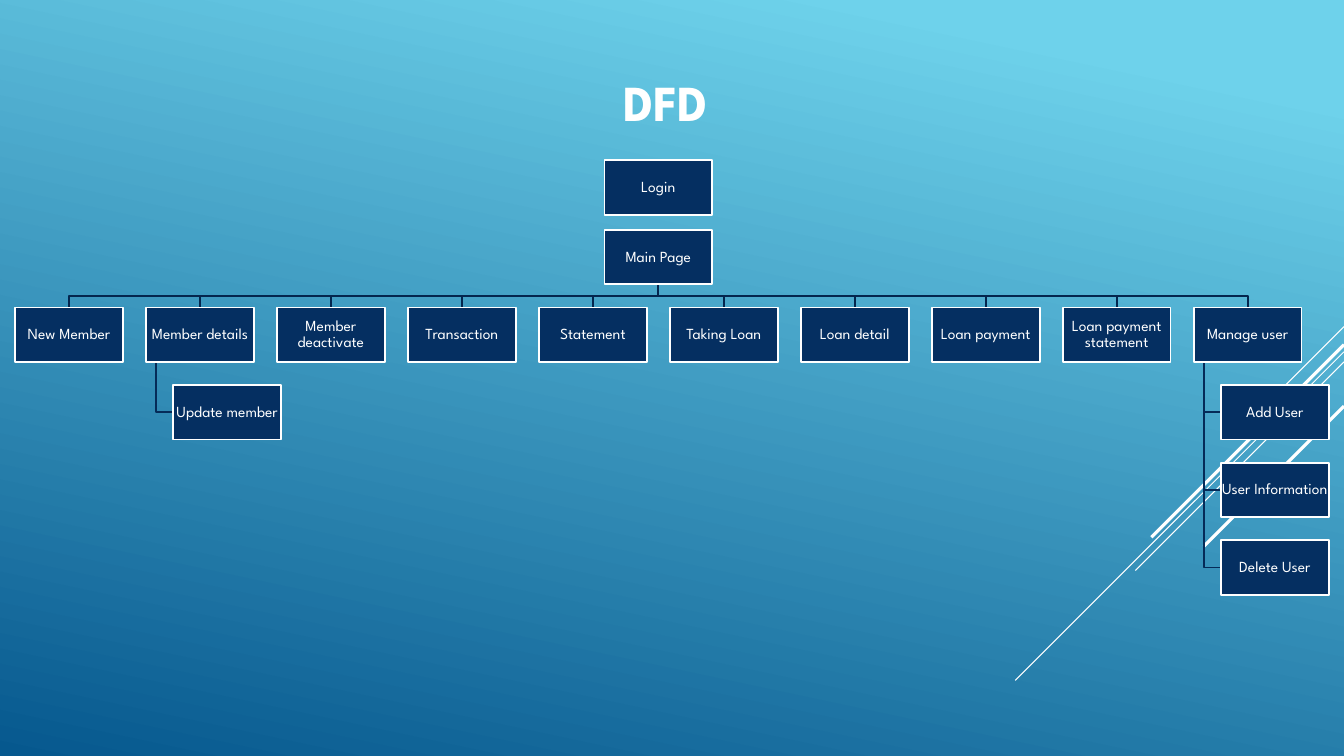
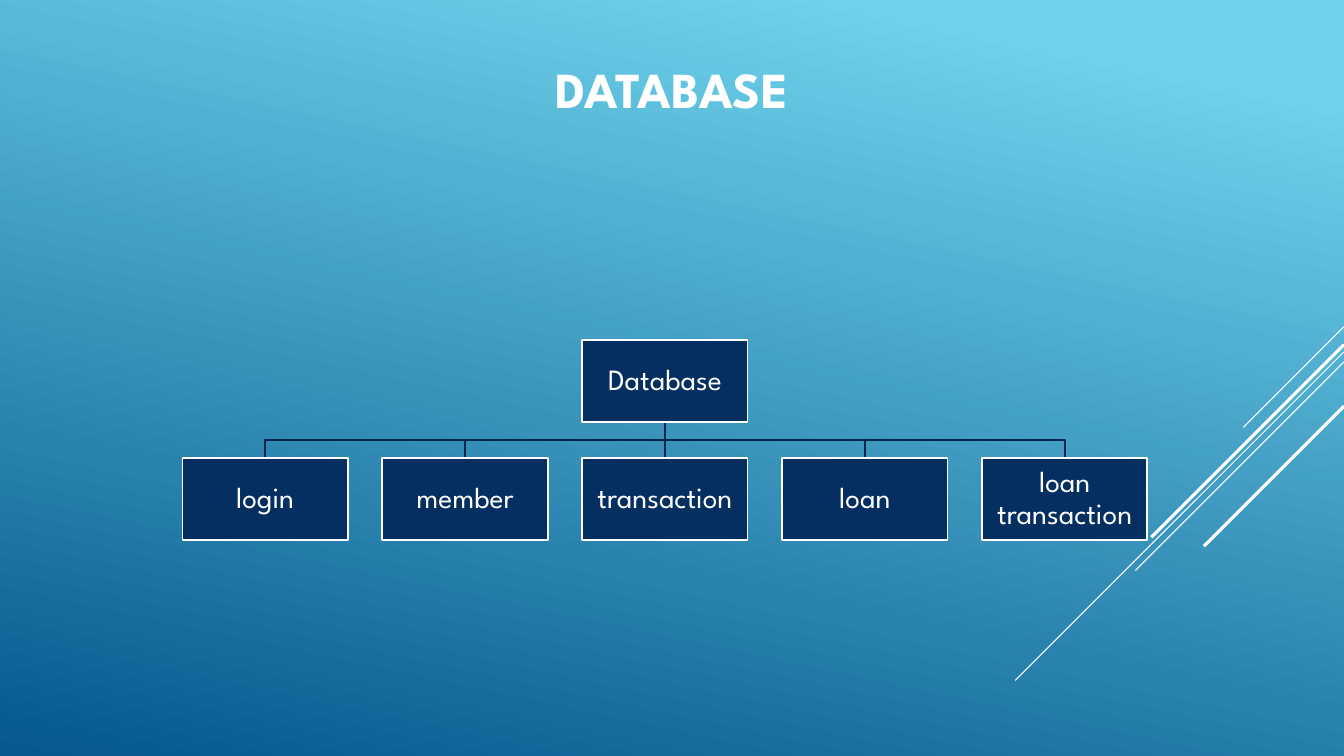
from dataclasses import dataclass

from lxml import etree
from pptx import Presentation
from pptx import util as u
from pptx.dml.color import RGBColor
from pptx.enum import shapes, text
from pptx.oxml import ns


@dataclass(frozen=True)
class Theme:
    font: str = "League Spartan"
    white: RGBColor = RGBColor(0xFF, 0xFF, 0xFF)
    sky: RGBColor = RGBColor(0x6E, 0xD2, 0xEB)
    ocean: RGBColor = RGBColor(0x06, 0x58, 0x8E)
    navy: RGBColor = RGBColor(0x05, 0x2F, 0x61)
    branch: RGBColor = RGBColor(0x04, 0x26, 0x4E)
    twig: RGBColor = RGBColor(0x05, 0x2B, 0x58)
    title_size: float = 36
    small_size: float = 11
    large_size: float = 21
    box_line: float = 1.25


THEME = Theme()
SLIDE_WIDTH, SLIDE_HEIGHT = 13.33, 7.5
TITLE_HEIGHT = 0.89
TWIG_INSET, TWIG_INDENT = 0.1, 0.27  # trunk and child offsets from the parent's left


@dataclass(frozen=True)
class Streak:
    """A diagonal from the right edge, falling as far as it runs left."""
    top: float
    run: float
    weight: float


STREAKS = (
    Streak(3.24, 1.0, 0.75),
    Streak(3.49, 3.26, 0.75),
    Streak(3.59, 2.07, 0.75),
    Streak(3.42, 1.91, 2.25),
    Streak(4.03, 1.39, 2.25),
)


@dataclass(frozen=True)
class BoxStyle:
    width: float
    height: float
    gap: float  # vertical gap between levels
    size: float


@dataclass(frozen=True)
class Box:
    label: str
    left: float
    top: float
    style: BoxStyle

    @property
    def center(self) -> float:
        return self.left + self.style.width / 2

    @property
    def bottom(self) -> float:
        return self.top + self.style.height


@dataclass(frozen=True)
class Node:
    label: str
    children: tuple[str, ...] = ()


@dataclass(frozen=True)
class Chart:
    title: str
    title_top: float
    style: BoxStyle
    first_left: float
    last_left: float
    row_top: float
    root: str
    nodes: tuple[Node, ...]
    entry: str = ""  # box standing alone above the root
    entry_top: float = 0


CHARTS = (
    Chart(
        "DFD ", 0.47, BoxStyle(1.07, 0.54, 0.23, THEME.small_size),
        0.15, 11.84, 3.05, "Main Page",
        (
            Node("New Member"),
            Node("Member details", ("Update member",)),
            Node("Member deactivate"),
            Node("Transaction"),
            Node("Statement"),
            Node("Taking Loan"),
            Node("Loan detail"),
            Node("Loan payment"),
            Node("Loan payment statement"),
            Node("Manage user", ("Add User", "User Information", "Delete User")),
        ),
        "Login", 1.59,
    ),
    Chart(
        "DATABASE", 0.34, BoxStyle(1.64, 0.82, 0.35, THEME.large_size),
        1.81, 9.74, 4.54, "Database",
        tuple(map(Node, ("login", "member", "transaction", "loan", "loan transaction"))),
    ),
)


def add_text(frame, label: str, size: float, bold: bool = False) -> None:
    paragraph = frame.paragraphs[0]
    paragraph.alignment = text.PP_ALIGN.CENTER
    paragraph.line_spacing = 0.9
    run = paragraph.add_run()
    run.text = label
    run.font.name = THEME.font
    run.font.size = u.Pt(size)
    run.font.bold = bold
    run.font.color.rgb = THEME.white


def add_line(slide, start: tuple, end: tuple, color: RGBColor, weight: float):
    points = [u.Inches(value) for value in (*start, *end)]
    line = slide.shapes.add_connector(shapes.MSO_CONNECTOR.STRAIGHT, *points)
    line.line.color.rgb = color
    line.line.width = u.Pt(weight)
    etree.SubElement(line.element.spPr, ns.qn("a:effectLst"))
    return line


def add_elbow(slide, points: list[tuple], color: RGBColor) -> None:
    start, *rest = [(u.Inches(x), u.Inches(y)) for x, y in points]
    builder = slide.shapes.build_freeform(*start)
    builder.add_line_segments(rest, close=False)
    shape = builder.convert_to_shape()
    shape.shadow.inherit = False
    shape.fill.background()
    shape.line.color.rgb = color
    shape.line.width = u.Pt(THEME.box_line)


def add_box(slide, box: Box) -> None:
    place = (box.left, box.top, box.style.width, box.style.height)
    shape = slide.shapes.add_shape(
        shapes.MSO_SHAPE.RECTANGLE, *(u.Inches(value) for value in place))
    shape.shadow.inherit = False
    shape.fill.solid()
    shape.fill.fore_color.rgb = THEME.navy
    shape.line.color.rgb = THEME.white
    shape.line.width = u.Pt(THEME.box_line)
    frame = shape.text_frame
    frame.word_wrap = True
    frame.vertical_anchor = text.MSO_ANCHOR.MIDDLE
    frame.margin_left = frame.margin_right = frame.margin_top = frame.margin_bottom = 0
    add_text(frame, box.label, box.style.size)


def add_title(slide, label: str, top: float) -> None:
    title = slide.shapes.title
    title.left, title.top = 0, u.Inches(top)
    title.width, title.height = u.Inches(SLIDE_WIDTH), u.Inches(TITLE_HEIGHT)
    frame = title.text_frame
    frame.auto_size = text.MSO_AUTO_SIZE.NONE
    frame.vertical_anchor = text.MSO_ANCHOR.BOTTOM
    add_text(frame, label, THEME.title_size, bold=True)


def join_row(slide, parent: Box, child: Box) -> None:
    """Line from a parent down to a child in the row below."""
    start, end = (parent.center, parent.bottom), (child.center, child.top)
    if abs(parent.center - child.center) < 0.01:
        add_line(slide, start, end, THEME.branch, THEME.box_line)
        return
    middle = (parent.bottom + child.top) / 2
    add_elbow(slide, [start, (parent.center, middle), (child.center, middle), end],
              THEME.branch)


def join_hanging(slide, parent: Box, child: Box) -> None:
    """Line from a parent's lower left to the side of a hanging child."""
    trunk = parent.left + TWIG_INSET
    middle = (child.top + child.bottom) / 2
    add_elbow(slide, [(trunk, parent.bottom), (trunk, middle), (child.left, middle)],
              THEME.twig)


def draw_chart(slide, chart: Chart) -> None:
    style = chart.style
    level = style.height + style.gap
    pitch = (chart.last_left - chart.first_left) / (len(chart.nodes) - 1)
    root_left = (chart.first_left + chart.last_left) / 2
    root = Box(chart.root, root_left, chart.row_top - level, style)
    boxes = [root]
    if chart.entry:
        boxes.insert(0, Box(chart.entry, root_left, chart.entry_top, style))

    # Lines first, so that the boxes cover their ends
    for column, node in enumerate(chart.nodes):
        parent = Box(node.label, chart.first_left + column * pitch, chart.row_top, style)
        boxes.append(parent)
        join_row(slide, root, parent)
        for step, label in enumerate(node.children, start=1):
            child = Box(label, parent.left + TWIG_INDENT, parent.top + step * level, style)
            boxes.append(child)
            join_hanging(slide, parent, child)
    for box in boxes:
        add_box(slide, box)


def style_master(master, slide) -> None:
    """Give the master its gradient and the diagonal streaks."""
    fill = master.background.fill
    fill.gradient()
    fill.gradient_angle = 360 - 102
    for stop, position, color in zip(
            fill.gradient_stops, (0.1, 1.0), (THEME.sky, THEME.ocean)):
        stop.position = position
        stop.color.rgb = color
    # Connectors can only be made on a slide, so each is moved to the master
    for streak in STREAKS:
        line = add_line(slide, (SLIDE_WIDTH, streak.top),
                        (SLIDE_WIDTH - streak.run, streak.top + streak.run),
                        THEME.white, streak.weight)
        master.shapes.element.append(line.element)


def main() -> None:
    presentation = Presentation()
    presentation.slide_width = u.Inches(SLIDE_WIDTH)
    presentation.slide_height = u.Inches(SLIDE_HEIGHT)
    layout = presentation.slide_layouts.get_by_name("Title Only")
    slides = [presentation.slides.add_slide(layout) for _ in CHARTS]
    style_master(presentation.slide_master, slides[0])
    for slide, chart in zip(slides, CHARTS):
        add_title(slide, chart.title, chart.title_top)
        draw_chart(slide, chart)
    presentation.save("out.pptx")


if __name__ == "__main__":
    main()
